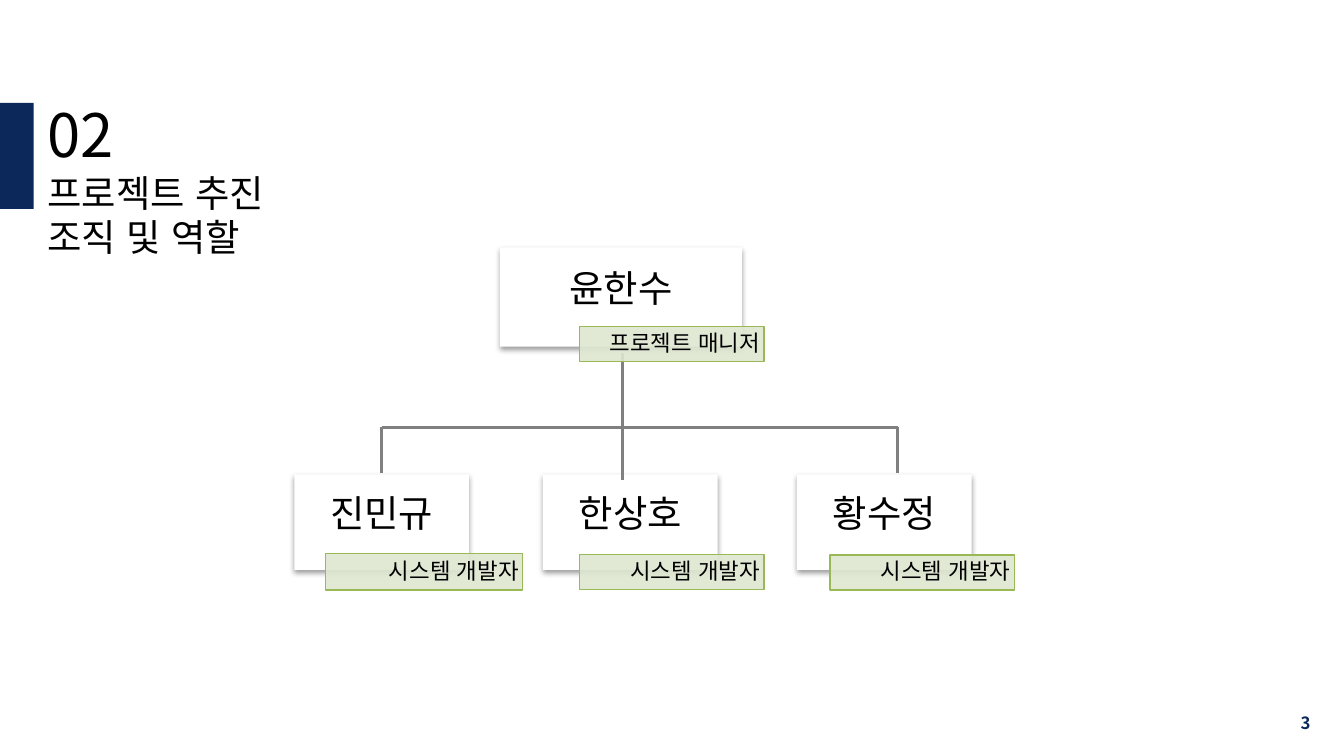
from dataclasses import dataclass

from lxml import etree
from pptx import Presentation
from pptx import util as u
from pptx.dml.color import RGBColor
from pptx.enum import lang, shapes, text
from pptx.oxml import ns

NAVY = RGBColor(0x0C, 0x27, 0x59)
BLACK = RGBColor(0, 0, 0)
WHITE = RGBColor(255, 255, 255)
GRAY = RGBColor(0x80, 0x80, 0x80)
PALE_GREEN = RGBColor(0xDE, 0xE7, 0xD1)
GREEN = RGBColor(0x98, 0xB9, 0x55)
FONT = "Noto Sans CJK KR"

deck = Presentation()
deck.slide_width = u.Inches(10)
deck.slide_height = deck.slide_width * 9 // 16
COLUMN = deck.slide_width / 100
ROW = deck.slide_height / 56.25
slide = deck.slides.add_slide(deck.slide_layouts[6])


@dataclass(frozen=True)
class Area:
    col: float
    row: float
    cols: float
    rows: float

    def emu(self) -> tuple[int, ...]:
        return (round(self.col * COLUMN), round(self.row * ROW),
                round(self.cols * COLUMN), round(self.rows * ROW))


@dataclass(frozen=True)
class Member:
    name: str
    role: str
    card: Area
    badge: Area


@dataclass(frozen=True)
class Branch:
    col: float
    row: float
    end_col: float
    end_row: float


def add_node(parent, tag: str, **attributes: str):
    return etree.SubElement(parent, ns.qn(tag), attributes)


def write(paragraph, words: str, size: float, color: RGBColor = BLACK,
          bold: bool = False) -> None:
    run = paragraph.add_run()
    run.text = words
    run.font.size = u.Pt(size)
    run.font.name = FONT
    run.font.bold = bold
    run.font.language_id = lang.MSO_LANGUAGE_ID.KOREAN
    run.font.color.rgb = color
    add_node(run.font._element, "a:ea", typeface=FONT)


def add_box(area: Area, fill: RGBColor):
    box = slide.shapes.add_shape(shapes.MSO_SHAPE.RECTANGLE, *area.emu())
    box.shadow.inherit = False
    box.fill.solid()
    box.fill.fore_color.rgb = fill
    box.line.fill.background()
    return box


def label(box, words: str, size: float, align: text.PP_ALIGN,
          side: float, bottom: float) -> None:
    frame = box.text_frame
    frame.word_wrap = True
    frame.vertical_anchor = text.MSO_ANCHOR.MIDDLE
    frame.margin_left = frame.margin_right = u.Inches(side)
    frame.margin_top, frame.margin_bottom = u.Inches(0.01), u.Inches(bottom)
    paragraph = frame.paragraphs[0]
    paragraph.alignment = align
    paragraph.line_spacing = 0.9
    write(paragraph, words, size)


def add_member(member: Member) -> None:
    card = add_box(member.card, WHITE)
    effects = card._element.spPr.find(ns.qn("a:effectLst"))
    shadow = add_node(effects, "a:outerShdw", blurRad=str(u.Pt(3.1)),
                      dist=str(u.Pt(1.6)), dir="5400000", rotWithShape="0")
    shade = add_node(shadow, "a:srgbClr", val=str(BLACK))
    add_node(shade, "a:alpha", val="38000")
    label(card, member.name, 20, text.PP_ALIGN.CENTER, 0.01, 0.11)

    badge = add_box(member.badge, PALE_GREEN)
    tint = badge._element.spPr.find(ns.qn("a:solidFill"))[0]
    add_node(tint, "a:alpha", val="90000")
    badge.line.color.rgb = GREEN
    badge.line.width = u.Pt(0.75)
    label(badge, member.role, 12, text.PP_ALIGN.RIGHT, 0.03, 0.01)


def add_branch(branch: Branch) -> None:
    line = slide.shapes.add_connector(
        shapes.MSO_CONNECTOR.STRAIGHT,
        round(branch.col * COLUMN), round(branch.row * ROW),
        round(branch.end_col * COLUMN), round(branch.end_row * ROW))
    line.line.color.rgb = GRAY
    line.line.width = u.Pt(1.5)
    add_node(line._element.spPr, "a:effectLst")


def add_text_area(area: Area):
    frame = slide.shapes.add_textbox(*area.emu()).text_frame
    frame.word_wrap = True
    return frame


page_number = add_text_area(Area(75.2, 52.3, 23.3, 3))
page_number.vertical_anchor = text.MSO_ANCHOR.MIDDLE
page_number.paragraphs[0].alignment = text.PP_ALIGN.RIGHT
write(page_number.paragraphs[0], "3", 9, NAVY, True)

heading = add_text_area(Area(2.55, 6.8, 21.5, 13.1))
write(heading.paragraphs[0], "02", 32)
write(heading.add_paragraph(), "프로젝트 추진 조직 및 역할", 20)

add_box(Area(0, 7.65, 2.5, 7.9), NAVY)

TRUNK, RAIL = 46.3, 31.8
LEFT, RIGHT = 28.4, 66.8
DEVELOPER = "시스템 개발자"
CARD_ROW, CARD_COLS, CARD_ROWS = 35.3, 13, 7.1

members = [
    Member("윤한수", "프로젝트 매니저",
           Area(37.2, 18.4, 18, 7.4), Area(43.1, 24.3, 13.75, 2.6)),
    *(Member(name, DEVELOPER, Area(col, CARD_ROW, CARD_COLS, CARD_ROWS), badge)
      for name, col, badge in (
          ("한상호", 40.4, Area(43.1, 41.25, 13.75, 2.6)),
          ("황수정", 59.3, Area(61.75, 41.3, 13.75, 2.6)),
          ("진민규", 21.9, Area(24.2, 41.2, 14.7, 2.7)))),
]

add_branch(Branch(TRUNK, 26.3, TRUNK, 32.6))
for member in members:
    add_member(member)
add_branch(Branch(LEFT, RAIL, RIGHT, RAIL))
add_branch(Branch(TRUNK, 32.4, TRUNK, 35.7))
for col in (LEFT, RIGHT):
    add_branch(Branch(col, RAIL, col, 35.2))

deck.save("out.pptx")
